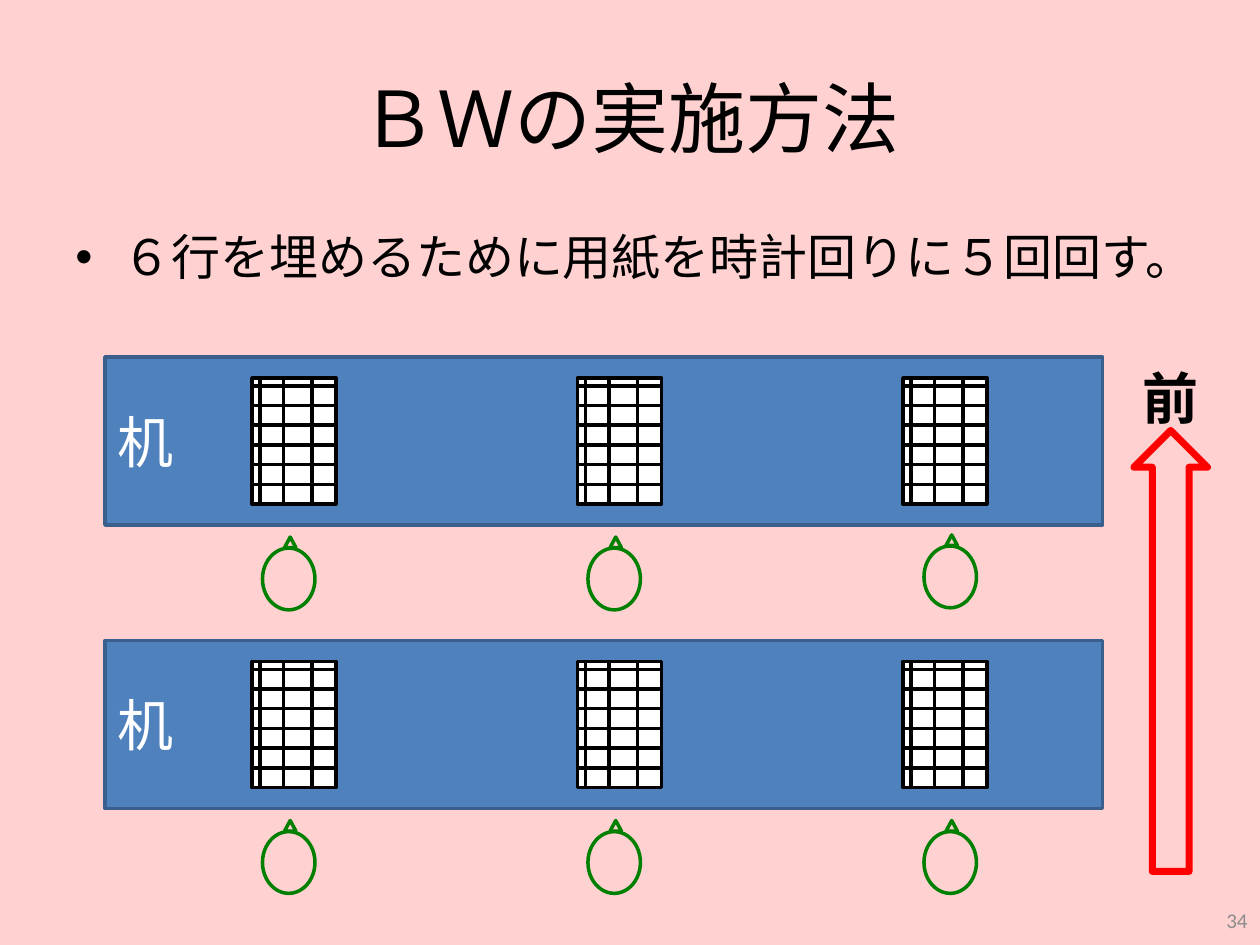
from lxml import etree
from pptx import Presentation
from pptx.dml.color import RGBColor
from pptx.enum import shapes, text
from pptx.oxml import ns
from pptx.util import Pt

COLORS = {
    "background": "FFD1D1", "ink": "000000", "number": "8C8C8C", "paper": "FFFFFF",
    "desk": "4F81BD", "desk_edge": "3A5F8C", "person": "008000", "arrow": "FF0000",
}
FONT = "Calibri"
LEFT, CENTER, RIGHT = text.PP_ALIGN.LEFT, text.PP_ALIGN.CENTER, text.PP_ALIGN.RIGHT
TOP, MIDDLE = text.MSO_ANCHOR.TOP, text.MSO_ANCHOR.MIDDLE

TITLE = "ＢＷの実施方法"
BODY = "６行を埋めるために用紙を時計回りに５回回す。"
LABELS = [
    (TITLE, (36, 21.6, 648, 90), 44, "ink", CENTER, MIDDLE, False),
    ("34", (552, 511, 168, 29), 12, "number", RIGHT, MIDDLE, False),
    ("前", (630, 204, 78, 46), 32, "ink", CENTER, TOP, True),
]
DESK_LABEL = "机"
DESK_TOPS = [204, 366]
DESK_LEFT, DESK_WIDTH, DESK_HEIGHT = 60, 570, 96
SHEET_LEFTS = [144, 330, 516]
SHEET_WIDTH, SHEET_HEIGHT, SHEET_DROP = 48, 72, 12
FIRST_RULE, RULE_GAP, RULE_COUNT = 4.5, 11.25, 6
COLUMN_RULES = [4.5, 18, 34.4]
PEOPLE = [
    (150, 313.2), (336, 313.2), (528, 312),
    (150, 475.2), (336, 475.2), (528, 475.2),
]

deck = Presentation()
deck.slide_width, deck.slide_height = Pt(720), Pt(540)
page = deck.slides.add_slide(deck.slide_layouts[6])


def color(name):
    return RGBColor.from_string(COLORS[name])


def write(shape, words, size, ink, align=LEFT, anchor=MIDDLE, bold=False):
    frame = shape.text_frame
    frame.word_wrap = True
    frame.vertical_anchor = anchor
    para = frame.paragraphs[0]
    para.alignment = align
    span = para.add_run()
    span.text = words
    span.font.name = FONT
    span.font.size = Pt(size)
    span.font.bold = bold
    span.font.color.rgb = color(ink)
    return para


def add_box(place):
    return page.shapes.add_textbox(*map(Pt, place))


def add_outline(parent, kind, place, edge, width=2, fill=None):
    shape = parent.shapes.add_shape(kind, *map(Pt, place))
    shape.shadow.inherit = False
    if fill:
        shape.fill.solid()
        shape.fill.fore_color.rgb = color(fill)
    else:
        shape.fill.background()
    shape.line.color.rgb = color(edge)
    shape.line.width = Pt(width)
    return shape


def add_rule(parent, *ends):
    rule = parent.shapes.add_connector(shapes.MSO_CONNECTOR.STRAIGHT, *map(Pt, ends))
    rule.line.color.rgb = color("ink")
    rule.line.width = Pt(2)
    etree.SubElement(rule._element.spPr, ns.qn("a:effectLst"))


def add_person(left, top):
    person = page.shapes.add_group_shape()
    add_outline(person, shapes.MSO_SHAPE.OVAL, (left, top, 30, 35.3), "person")
    add_outline(person, shapes.MSO_SHAPE.ISOSCELES_TRIANGLE,
                (left + 12.6, top - 6.3, 6.5, 6), "person")


def add_sheet(left, top):
    sheet = page.shapes.add_group_shape()
    right, bottom = left + SHEET_WIDTH, top + SHEET_HEIGHT
    add_outline(sheet, shapes.MSO_SHAPE.RECTANGLE,
                (left, top, SHEET_WIDTH, SHEET_HEIGHT), "ink", fill="paper")
    for row in range(RULE_COUNT):
        y = top + FIRST_RULE + row * RULE_GAP
        add_rule(sheet, left, y, right, y)
    for offset in COLUMN_RULES:
        add_rule(sheet, left + offset, bottom, left + offset, top)


page.background.fill.solid()
page.background.fill.fore_color.rgb = color("background")

para = write(add_box((36, 126, 648, 60)), BODY, 28, "ink", anchor=TOP)
para.space_before = Pt(5.6)
props = para._p.get_or_add_pPr()
props.set("marL", str(Pt(27)))
props.set("indent", str(Pt(-27)))
etree.SubElement(props, ns.qn("a:buFont")).set("typeface", "Arial")
etree.SubElement(props, ns.qn("a:buChar")).set("char", "•")

for words, place, *style in LABELS:
    write(add_box(place), words, *style)

for top in DESK_TOPS:
    desk = add_outline(page, shapes.MSO_SHAPE.RECTANGLE,
                       (DESK_LEFT, top, DESK_WIDTH, DESK_HEIGHT), "desk_edge", fill="desk")
    write(desk, DESK_LABEL, 32, "paper")
    for left in SHEET_LEFTS:
        add_sheet(left, top + SHEET_DROP)

for left, top in PEOPLE:
    add_person(left, top)

add_outline(page, shapes.MSO_SHAPE.UP_ARROW, (648, 246, 42, 252), "arrow", width=4)

deck.save("out.pptx")
